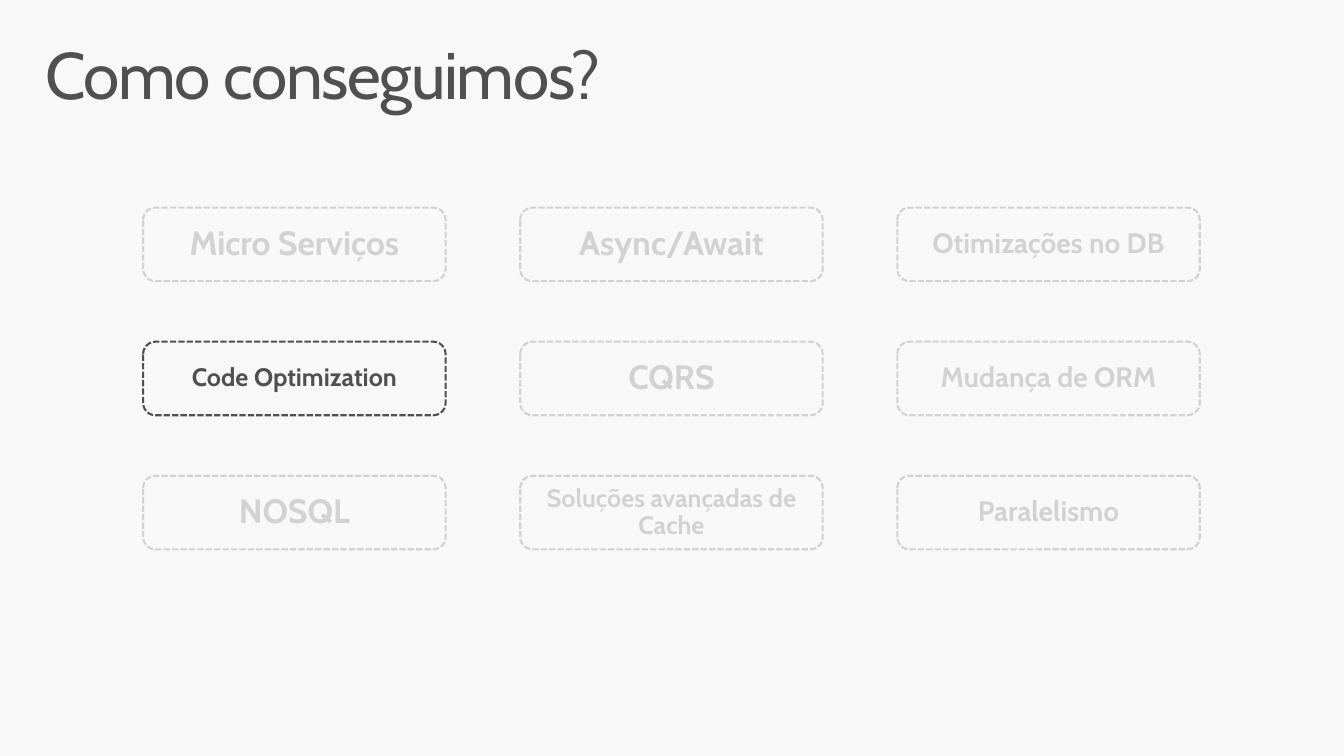
from pptx import Presentation
from pptx import util as u
from pptx.dml.color import RGBColor
from pptx.enum import dml, shapes, text

DARK, MUTED, PAPER = "505050", "D2D2D2", "F8F8F8"
TECHNIQUES = [
    [("Micro Serviços", 24), ("Async/Await", 24), ("Otimizações no DB", 20)],
    [("Code Optimization", 18), ("CQRS", 24), ("Mudança de ORM", 20)],
    [("NOSQL", 24), ("Soluções avançadas de Cache", 18), ("Paralelismo", 20)],
]
HIGHLIGHT = "Code Optimization"


def color(hex_string):
    return RGBColor.from_string(hex_string)


def write(shape, words, *, size, ink, bold=False, align=text.PP_ALIGN.LEFT,
          anchor=text.MSO_ANCHOR.TOP, insets=(0.16, 0.1), tracking=None):
    """Fill a shape with one paragraph; insets are inches, tracking is points."""
    frame = shape.text_frame
    frame.word_wrap = True
    frame.auto_size = text.MSO_AUTO_SIZE.NONE
    frame.vertical_anchor = anchor
    frame.margin_left = frame.margin_right = u.Inches(insets[0])
    frame.margin_top = frame.margin_bottom = u.Inches(insets[1])
    paragraph = frame.paragraphs[0]
    paragraph.alignment = align
    paragraph.line_spacing = 0.9
    run = paragraph.add_run()
    run.text = words
    run.font.name = "Cabin"
    run.font.size = u.Pt(size)
    run.font.bold = bold
    run.font.color.rgb = color(ink)
    if tracking is not None:
        run._r.get_or_add_rPr().set("spc", str(round(tracking * 100)))


class TechniqueSlide:
    GRID_LEFT, GRID_TOP = 1.42, 2.06
    COLUMN_STEP, ROW_STEP = 3.74, 1.33
    BOX_WIDTH, BOX_HEIGHT = 3, 0.73

    def __init__(self, presentation):
        self.slide = presentation.slides.add_slide(presentation.slide_layouts[5])
        background = self.slide.background.fill
        background.solid()
        background.fore_color.rgb = color(PAPER)

    def title(self, words):
        title = self.slide.shapes.title
        title.left, title.top = u.Inches(0.29), u.Inches(0.32)
        title.width, title.height = u.Inches(12.75), u.Inches(0.98)
        write(title, words, size=47, ink=DARK, tracking=-1)

    def box(self, column, row, words, size):
        """Draw a dashed box in the given grid cell."""
        ink = DARK if words == HIGHLIGHT else MUTED
        box = self.slide.shapes.add_shape(
            shapes.MSO_SHAPE.ROUNDED_RECTANGLE,
            u.Inches(self.GRID_LEFT + column * self.COLUMN_STEP),
            u.Inches(self.GRID_TOP + row * self.ROW_STEP),
            u.Inches(self.BOX_WIDTH), u.Inches(self.BOX_HEIGHT))
        box.shadow.inherit = False
        box.fill.background()
        box.line.color.rgb = color(ink)
        box.line.width = u.Pt(1.5)
        box.line.dash_style = dml.MSO_LINE.SQUARE_DOT
        write(box, words, size=size, ink=ink, bold=True, insets=(0.2, 0.16),
              align=text.PP_ALIGN.CENTER, anchor=text.MSO_ANCHOR.MIDDLE)


def main():
    presentation = Presentation()
    presentation.slide_width = u.Inches(13.33)
    presentation.slide_height = u.Inches(7.5)
    page = TechniqueSlide(presentation)
    page.title("Como conseguimos?")
    for row, techniques in enumerate(TECHNIQUES):
        for column, (words, size) in enumerate(techniques):
            page.box(column, row, words, size)
    presentation.save("out.pptx")


if __name__ == "__main__":
    main()
